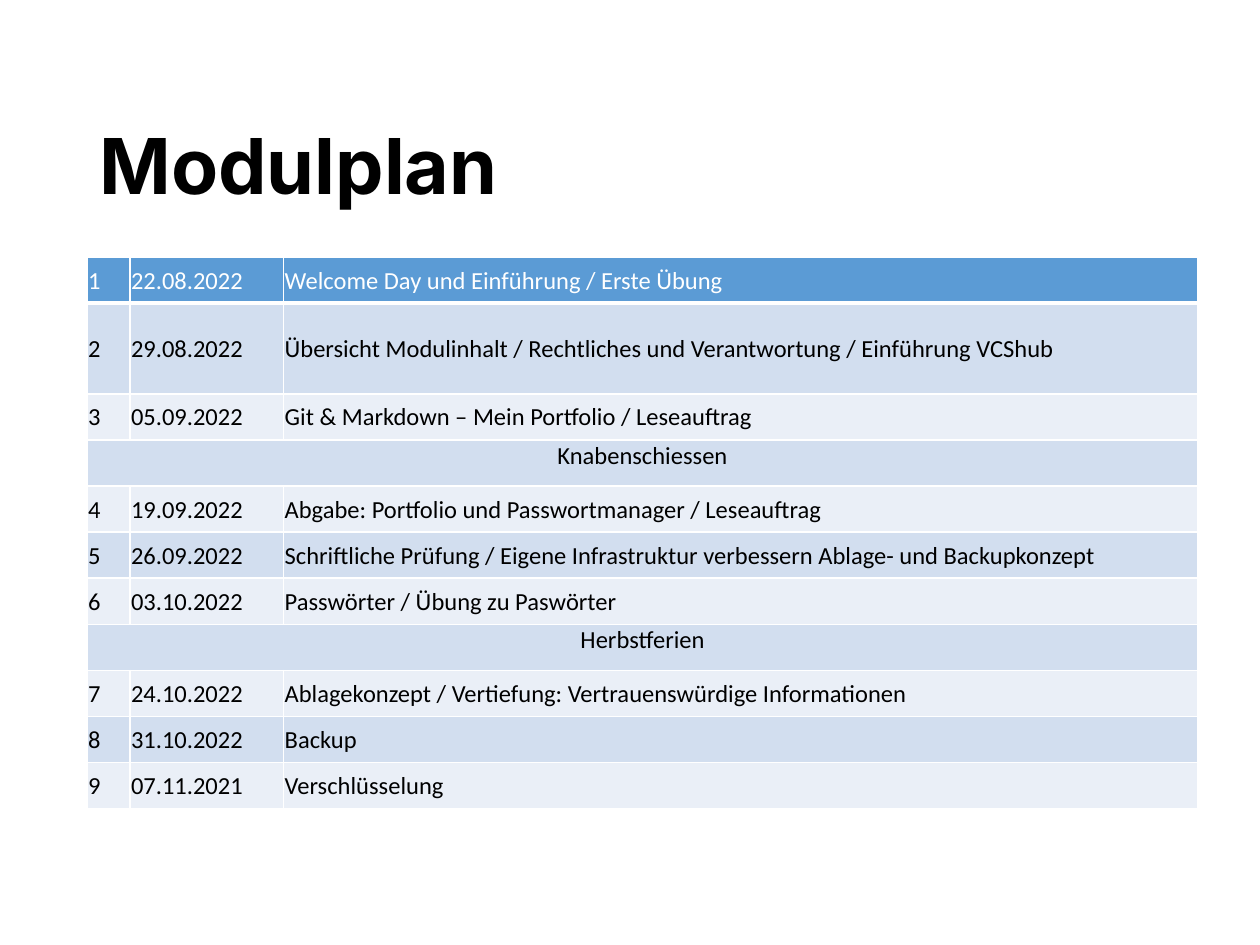
import pptx
import pptx.util
import pptx.dml.color
import pptx.enum.text
import pptx.oxml
import pptx.oxml.ns
from lxml import etree

Inches, Pt = pptx.util.Inches, pptx.util.Pt
ALIGN = pptx.enum.text.PP_ALIGN
ANCHOR = pptx.enum.text.MSO_ANCHOR

HEADER, BAND_DARK, BAND_LIGHT = "5B9BD5", "D2DEEF", "EAEFF7"
WHITE, BLACK = "FFFFFF", "000000"

# A one-item row is a break that spans the whole table
LESSONS = [
    ("1", "22.08.2022", "Welcome Day und Einführung / Erste Übung"),
    ("2", "29.08.2022",
     "Übersicht Modulinhalt / Rechtliches und Verantwortung / Einführung VCShub"),
    ("3", "05.09.2022", "Git & Markdown – Mein Portfolio / Leseauftrag"),
    ("Knabenschiessen",),
    ("4", "19.09.2022", "Abgabe: Portfolio und Passwortmanager / Leseauftrag"),
    ("5", "26.09.2022",
     "Schriftliche Prüfung / Eigene Infrastruktur verbessern Ablage- und Backupkonzept"),
    ("6", "03.10.2022", "Passwörter / Übung zu Paswörter"),
    ("Herbstferien",),
    ("7", "24.10.2022", "Ablagekonzept / Vertiefung: Vertrauenswürdige Informationen"),
    ("8", "31.10.2022", "Backup"),
    ("9", "07.11.2021", "Verschlüsselung"),
]
COLUMN_WIDTHS = (0.34, 1.22, 7.26)
TALL_ROW, TALL_HEIGHT = 1, 0.72


def rgb(hex_color):
    return pptx.dml.color.RGBColor.from_string(hex_color)


def write_text(frame, text, *, size, font="Calibri", color=BLACK, bold=False,
               align=ALIGN.LEFT, line_spacing=1.0):
    paragraph = frame.paragraphs[0]
    paragraph.alignment = align
    paragraph.line_spacing = line_spacing
    run = paragraph.add_run()
    run.text = text
    run.font.name = font
    run.font.size = Pt(size)
    run.font.bold = bold
    run.font.color.rgb = rgb(color)


def set_borders(cell, bottom_width):
    """Draw white borders; they must come before the fill in the XML."""
    properties = cell._tc.get_or_add_tcPr()
    qn = pptx.oxml.ns.qn
    for side, width in (("L", 1), ("R", 1), ("T", 1), ("B", bottom_width)):
        line = etree.SubElement(properties, qn(f"a:ln{side}"), w=str(Pt(width)))
        fill = etree.SubElement(line, qn("a:solidFill"))
        etree.SubElement(fill, qn("a:srgbClr"), val=WHITE)


def place_title(slide, left, top, width, height):
    title = slide.shapes.title
    title.left, title.top = Inches(left), Inches(top)
    title.width, title.height = Inches(width), Inches(height)
    title.text_frame.vertical_anchor = ANCHOR.MIDDLE
    write_text(title.text_frame, "Modulplan", size=44, font="Inter", bold=True,
               line_spacing=0.9)


def format_cell(cell, fill, bottom_width):
    cell.margin_left = cell.margin_right = cell.margin_top = Inches(0.01)
    cell.margin_bottom = 0
    set_borders(cell, bottom_width)
    cell.fill.solid()
    cell.fill.fore_color.rgb = rgb(fill)


def place_schedule(slide, left, top, width, height):
    schedule = slide.shapes.add_table(
        len(LESSONS), len(COLUMN_WIDTHS),
        Inches(left), Inches(top), Inches(width), Inches(height)).table
    for column, column_width in zip(schedule.columns, COLUMN_WIDTHS):
        column.width = Inches(column_width)
    row_height = (height - TALL_HEIGHT) / (len(LESSONS) - 1)

    for index, lesson in enumerate(LESSONS):
        is_header, is_break = index == 0, len(lesson) == 1
        row = schedule.rows[index]
        row.height = Inches(TALL_HEIGHT if index == TALL_ROW else row_height)
        fill = HEADER if is_header else (BAND_LIGHT, BAND_DARK)[index % 2]
        for cell in row.cells:
            format_cell(cell, fill, 3 if is_header else 1)
        if is_break:
            row.cells[0].merge(row.cells[len(COLUMN_WIDTHS) - 1])
        for cell, text in zip(row.cells, lesson):
            cell.vertical_anchor = ANCHOR.TOP if is_break else ANCHOR.MIDDLE
            write_text(cell.text_frame, text, size=14,
                       color=WHITE if is_header else BLACK,
                       align=ALIGN.CENTER if is_break else ALIGN.LEFT)


def main():
    deck = pptx.Presentation()
    deck.slide_width, deck.slide_height = Inches(10), Inches(7.5)
    slide = deck.slides.add_slide(deck.slide_layouts.get_by_name("Title Only"))
    place_title(slide, 0.69, 0.84, 8.62, 1.01)
    place_schedule(slide, 0.69, 2.04, sum(COLUMN_WIDTHS), 4.38)
    deck.save("out.pptx")


if __name__ == "__main__":
    main()
